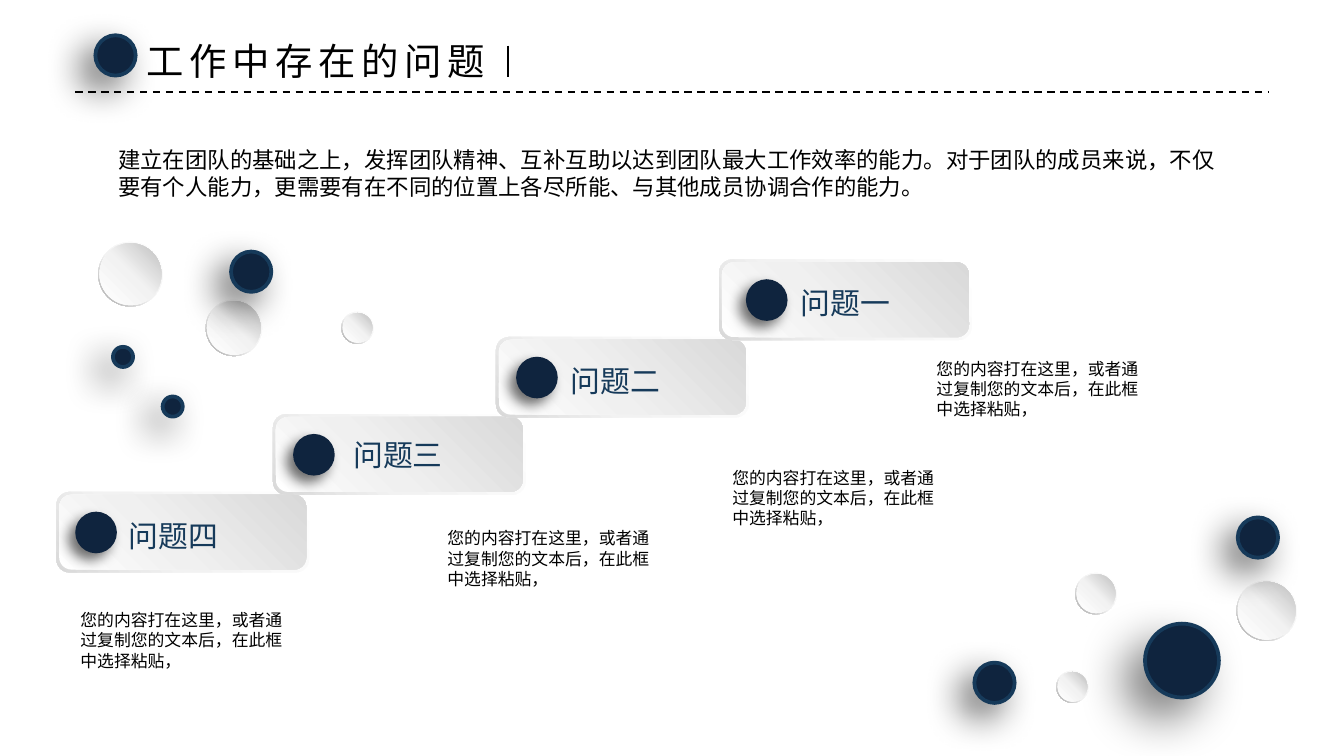
"""Build the slide of four problem steps with floating dots and pearls."""
from lxml.etree import SubElement
from pptx import Presentation
from pptx.dml.color import RGBColor
from pptx.enum.dml import MSO_LINE
from pptx.enum.shapes import MSO_CONNECTOR, MSO_SHAPE
from pptx.enum.text import MSO_ANCHOR, MSO_AUTO_SIZE, PP_ALIGN
from pptx.oxml import parse_xml
from pptx.oxml.ns import nsdecls, qn
from pptx.util import Pt

THEME = {
    "ink": "000000", "navy": "0F243E", "rim": "163A5A",
    "title": 20, "label": 16, "lead": 12, "note": 9,
    "font": "Noto Sans CJK SC", "note_font": "Roboto",
    "panel_edge": (135, [(0, "FFFFFF"), (62, "F2F2F2"), (100, "D9D9D9")]),
    "panel_face": (315, [(0, "FFFFFF"), (42, "F0F0F0"), (100, "D9D9D9")]),
    "pearl_edge": (135, [(0, "FFFFFF"), (55, "F2F2F2"), (100, "A6A6A6")]),
    "pearl_face": (315, [(0, "FFFFFF"), (51, "F2F2F2"), (100, "BFBFBF")]),
}


def add_form(shapes, kind, left, top, width, height, fill, shadow=None, rim=None):
    """Add a solid or gradient shape; shadow is opacity, blur and distance."""
    form = shapes.add_shape(kind, Pt(left), Pt(top), Pt(width), Pt(height))
    form.shadow.inherit = False
    properties = form.element.spPr
    if isinstance(fill, str):
        form.fill.solid()
        form.fill.fore_color.rgb = RGBColor.from_string(fill)
    else:
        angle, colours = fill
        stops = "".join(
            f'<a:gs pos="{place * 1000}"><a:srgbClr val="{colour}"/></a:gs>'
            for place, colour in colours)
        properties.find(qn("a:prstGeom")).addnext(parse_xml(
            f'<a:gradFill {nsdecls("a")} rotWithShape="1"><a:gsLst>{stops}</a:gsLst>'
            f'<a:lin ang="{angle * 60000}" scaled="0"/></a:gradFill>'))
    if rim:
        form.line.color.rgb = RGBColor.from_string(rim)
        form.line.width = Pt(2)
    else:
        form.line.fill.background()
    if shadow:
        opacity, blur, distance = shadow
        properties.find(qn("a:effectLst")).append(parse_xml(
            f'<a:outerShdw {nsdecls("a")} blurRad="{Pt(blur)}" dist="{Pt(distance)}" '
            f'dir="8100000" algn="tr" rotWithShape="0"><a:srgbClr val="000000">'
            f'<a:alpha val="{opacity * 1000}"/></a:srgbClr></a:outerShdw>'))
    return form


def write(box, lines, size, colour="ink", font="font", wrap=True, tracking=0):
    """Fill a box with one paragraph per line."""
    frame = box.text_frame
    frame.word_wrap = wrap
    frame.auto_size = MSO_AUTO_SIZE.NONE
    frame.vertical_anchor = MSO_ANCHOR.TOP
    for index, line in enumerate(lines):
        para = frame.add_paragraph() if index else frame.paragraphs[0]
        para.alignment = PP_ALIGN.LEFT
        para.line_spacing = Pt(THEME[size] * 1.2)
        span = para.add_run()
        span.text = line
        span.font.size = Pt(THEME[size])
        span.font.name = THEME[font]
        span.font.color.rgb = RGBColor.from_string(THEME[colour])
        properties = span.font._element
        SubElement(properties, qn("a:ea"), typeface=THEME[font])
        if tracking:
            properties.set("spc", str(tracking * 100))


deck = Presentation()
deck.slide_width, deck.slide_height = Pt(720), Pt(405)
page = deck.slides.add_slide(deck.slide_layouts[5])

title = page.shapes.title
title.left, title.top, title.width, title.height = Pt(71.3), Pt(16.6), Pt(200.2), Pt(31.7)
write(title, ["工作中存在的问题"], "title", wrap=False, tracking=3)

lead = page.shapes.add_textbox(Pt(56.2), Pt(74.9), Pt(608.4), Pt(36))
write(lead, [
    "建立在团队的基础之上，发挥团队精神、互补互助以达到团队最大工作效率的能力。对于团队的成员来说，不仅",
    "要有个人能力，更需要有在不同的位置上各尽所能、与其他成员协调合作的能力。",
], "lead")

steps = [
    ("问题四", 30.2, 263.5, 40.3, (61.9, 273.6), (36, 323.3)),
    ("问题三", 146.2, 221.9, 157, (182.2, 230.4), (232.6, 279.4)),
    ("问题二", 265.7, 180.5, 276.5, (298.8, 190.8), (385.2, 247)),
    ("问题一", 385.2, 139, 399.6, (421.9, 149), (494.6, 188.6)),
]
for name, left, top, dot_left, label_at, note_at in steps:
    step = page.shapes.add_group_shape().shapes
    add_form(step, MSO_SHAPE.ROUNDED_RECTANGLE, left, top, 135.4, 43.2, THEME["panel_edge"])
    add_form(step, MSO_SHAPE.ROUNDED_RECTANGLE, left + 1.5, top + 1.5, 132.4, 40.2,
             THEME["panel_face"])
    add_form(step, MSO_SHAPE.OVAL, dot_left, top + 10.6, 22.3, 22.3, THEME["navy"], (57, 7, 5))
    label = page.shapes.add_textbox(*map(Pt, label_at), Pt(63.4), Pt(26.6))
    write(label, [name], "label", "rim", wrap=False)
    note = page.shapes.add_textbox(*map(Pt, note_at), Pt(123.1), Pt(40.3))
    write(note, ["您的内容打在这里，或者通过复制您的文本后，在此框中选择粘贴，"],
          "note", font="note_font")

pearls = [
    (52.6, 129.6, 34.6), (110.2, 160.6, 30.2), (565.9, 359.3, 17.3),
    (576, 306.9, 22.3), (662.4, 311, 32.4), (182.9, 167, 17.3),
]
for left, top, size in pearls:
    pearl = page.shapes.add_group_shape().shapes
    ring = add_form(pearl, MSO_SHAPE.DONUT, left, top, size, size, THEME["pearl_edge"])
    ring.adjustments[0] = 0.05
    add_form(pearl, MSO_SHAPE.OVAL, left + 0.7, top + 0.7, size - 1.4, size - 1.4,
             THEME["pearl_face"])

soft, wide = (60, 20, 10), (50, 25, 15)
dots = [
    (613.4, 334.1, 39.6, wide), (663.1, 277.2, 21.6, soft), (123.8, 134.8, 21.6, soft),
    (60.5, 185.8, 10.8, soft), (522, 355, 21.6, soft), (87.1, 212.4, 10.8, soft),
    (51.1, 18.9, 21.6, soft),
]
for left, top, size, shadow in dots:
    add_form(page.shapes, MSO_SHAPE.OVAL, left, top, size, size, THEME["navy"], shadow,
             THEME["rim"])

rules = [
    (40.3, 49.2, 679.7, 49.2, 1, MSO_LINE.DASH),
    (272.2, 24.5, 272.2, 41, 1.5, MSO_LINE.SOLID),
]
for *ends, weight, dash in rules:
    rule = page.shapes.add_connector(MSO_CONNECTOR.STRAIGHT, *map(Pt, ends))
    rule.line.color.rgb = RGBColor.from_string(THEME["ink"])
    rule.line.width = Pt(weight)
    rule.line.dash_style = dash
    SubElement(rule.element.spPr, qn("a:effectLst"))

deck.save("out.pptx")
